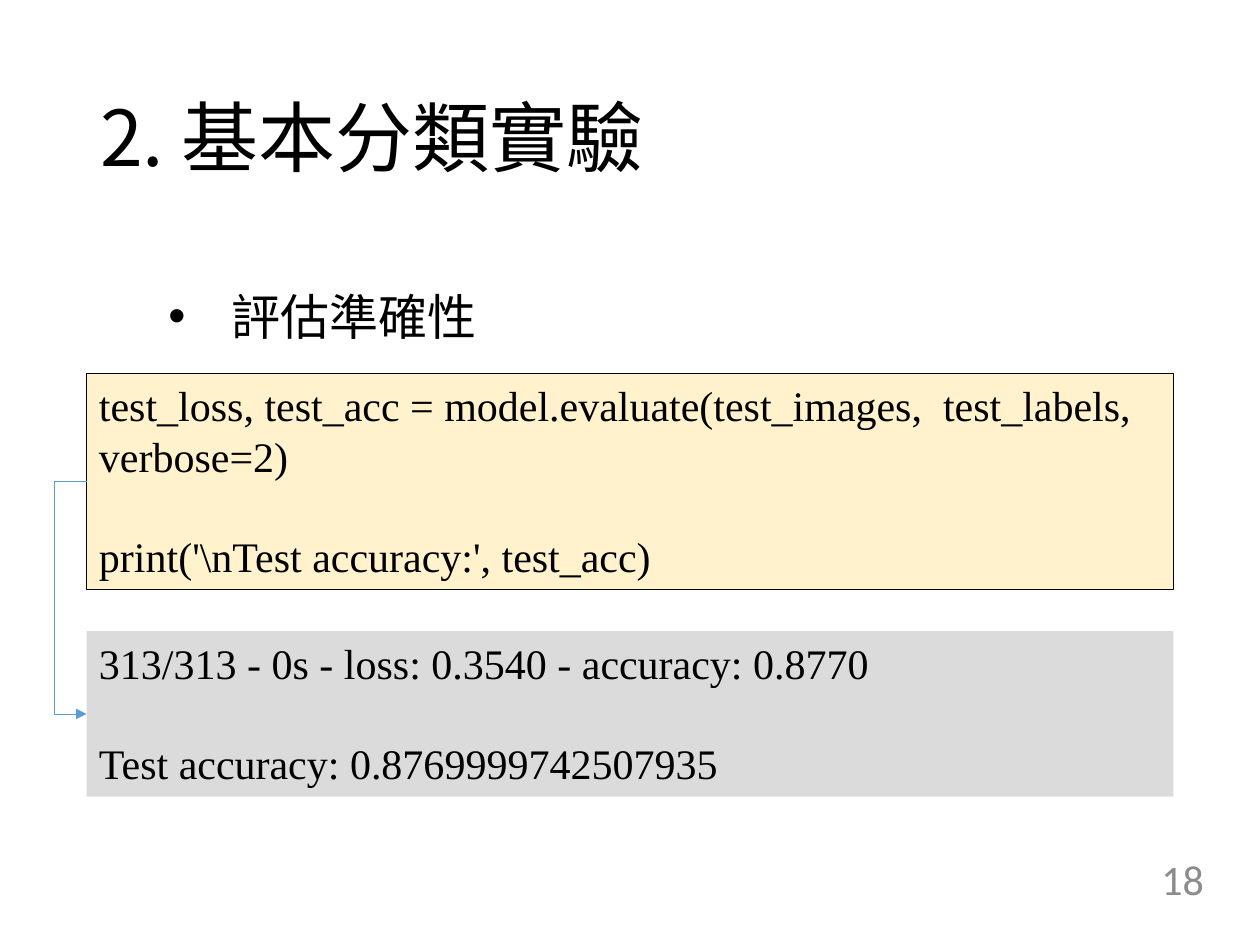
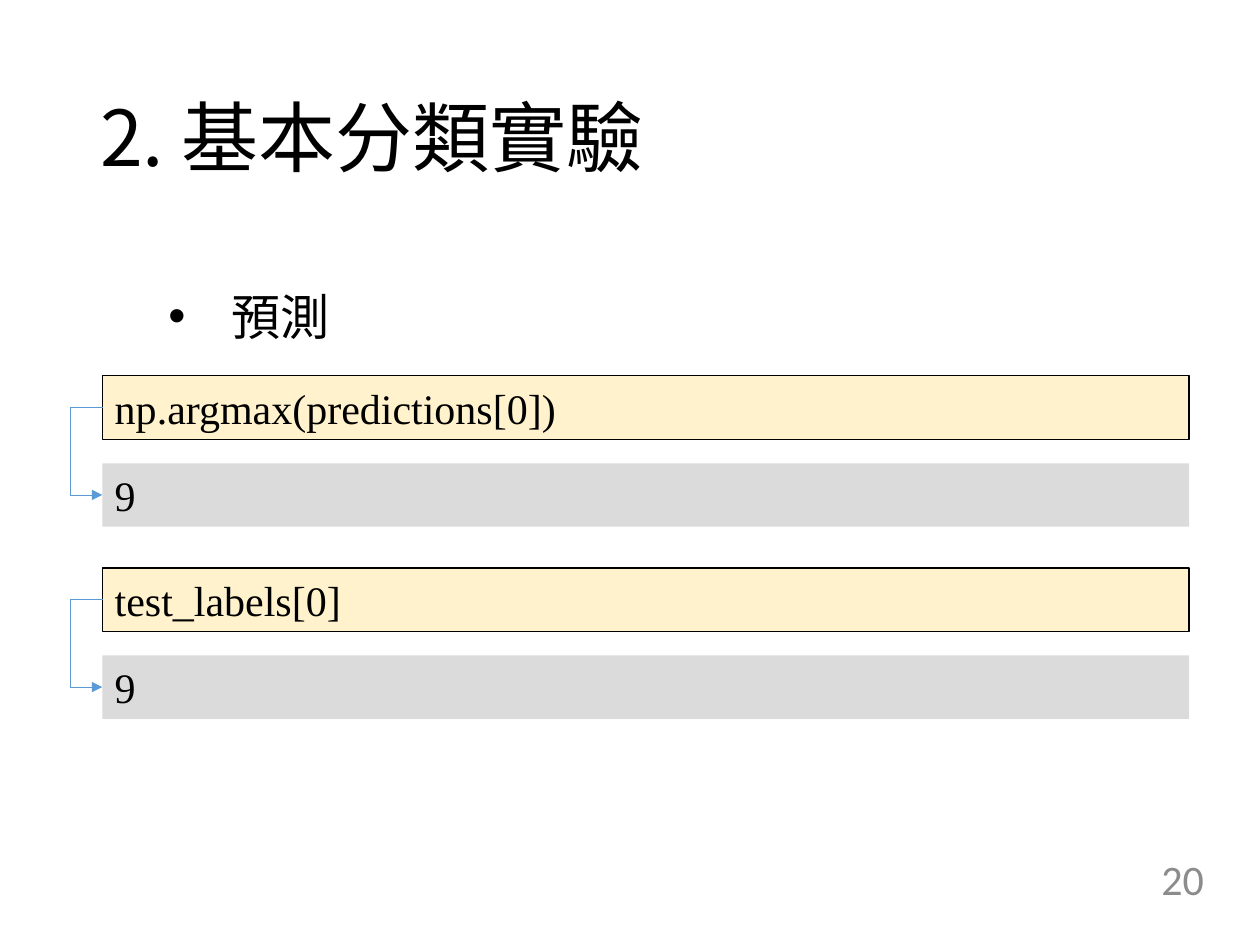
import pptx
import pptx.util
import pptx.dml.color
import pptx.enum.shapes
import pptx.enum.text
import pptx.oxml.ns
from dataclasses import dataclass
from lxml import etree

Pt = pptx.util.Pt
RGB = pptx.dml.color.RGBColor.from_string
ALIGN = pptx.enum.text.PP_ALIGN
ANCHOR = pptx.enum.text.MSO_ANCHOR
qn = pptx.oxml.ns.qn


@dataclass(frozen=True)
class Theme:
    ink: str = "000000"
    muted: str = "8C8C8C"
    code_fill: str = "FFF2CC"
    output_fill: str = "DBDBDB"
    arrow: str = "5B9BD5"
    heading_font: str = "Noto Sans CJK SC"
    code_font: str = "Times New Roman"
    number_font: str = "Calibri"
    title_size: float = 44
    topic_size: float = 28
    text_size: float = 24
    blank_line: float = 28.5


THEME = Theme()
PANEL_WIDTH = 621
ARROW_REACH = 18
ARROW_STUB = 0.5


def apply(target, formats):
    for attribute, value in formats.items():
        setattr(target, attribute, value)


def place(part, left, top, width, height):
    apply(part, {"left": Pt(left), "top": Pt(top), "width": Pt(width), "height": Pt(height)})


def style_font(paragraph, face, size, color):
    for run in paragraph.runs:
        apply(run.font, {"name": face, "size": Pt(size), "bold": False})
        run.font.color.rgb = RGB(color)
        east_asian = etree.SubElement(run.font._element, qn("a:ea"))
        east_asian.set("typeface", face)


def write(part, lines, face, size, color, anchor=ANCHOR.TOP, gap=0, **formats):
    frame = part.text_frame
    apply(frame, {"word_wrap": True, "vertical_anchor": anchor,
                  "auto_size": pptx.enum.text.MSO_AUTO_SIZE.NONE})
    frame.text = "\n".join(lines)
    for index, paragraph in enumerate(frame.paragraphs):
        apply(paragraph, {"alignment": ALIGN.LEFT, **formats})
        paragraph.space_before = Pt(gap if index else 0)
        style_font(paragraph, face, size, color)


def add_bullet(paragraph, indent):
    properties = paragraph._p.get_or_add_pPr()
    properties.set("marL", str(Pt(indent)))
    properties.set("indent", str(-Pt(indent)))
    etree.SubElement(properties, qn("a:buFont")).set("typeface", "Arial")
    etree.SubElement(properties, qn("a:buChar")).set("char", "•")


def add_topic_slide(deck, topic, number):
    slide = deck.slides.add_slide(deck.slide_layouts[1])
    title, body = slide.shapes.title, slide.placeholders[1]
    place(title, 50, 29, PANEL_WIDTH, 104)
    write(title, ["2. 基本分類實驗"], THEME.heading_font, THEME.title_size,
          THEME.ink, ANCHOR.MIDDLE, line_spacing=0.9)
    place(body, 89, 160, 558, 41)
    write(body, [topic], THEME.heading_font, THEME.topic_size, THEME.ink)
    add_bullet(body.text_frame.paragraphs[0], 36)
    page = slide.shapes.add_textbox(Pt(533), Pt(487.5), Pt(162), Pt(29))
    write(page, [number], THEME.number_font, THEME.text_size, THEME.muted,
          ANCHOR.MIDDLE, alignment=ALIGN.RIGHT)
    return slide


def add_panel(slide, lines, left, top, height, fill, outlined):
    panel = slide.shapes.add_shape(pptx.enum.shapes.MSO_SHAPE.RECTANGLE, Pt(left), Pt(top),
                                   Pt(PANEL_WIDTH), Pt(height))
    panel.shadow.inherit = False
    panel.fill.solid()
    panel.fill.fore_color.rgb = RGB(fill)
    if outlined:
        panel.line.color.rgb = RGB(THEME.ink)
        panel.line.width = Pt(0.75)
    else:
        panel.line.fill.background()
    write(panel, lines, THEME.code_font, THEME.text_size, THEME.ink, gap=THEME.blank_line)
    return panel


def add_result_arrow(slide, code, output):
    left = code.left
    arrow = slide.shapes.add_connector(
        pptx.enum.shapes.MSO_CONNECTOR.ELBOW, left + Pt(ARROW_STUB),
        code.top + code.height // 2, left, output.top + output.height // 2)
    arrow.begin_connect(code, 1)
    arrow.end_connect(output, 1)
    arrow.width = Pt(ARROW_STUB)
    arrow.line.color.rgb = RGB(THEME.arrow)
    arrow.line.width = Pt(0.5)
    properties = arrow._element.spPr
    adjustments = properties.find(qn("a:prstGeom")).get_or_add_avLst()
    bend = etree.SubElement(adjustments, qn("a:gd"))
    bend.set("name", "adj1")
    bend.set("fmla", f"val {round((ARROW_REACH + ARROW_STUB) / ARROW_STUB * 100000)}")
    etree.SubElement(arrow.line._get_or_add_ln(), qn("a:tailEnd")).set("type", "triangle")
    etree.SubElement(properties, qn("a:effectLst"))


def add_code_and_output(slide, left, code_lines, code_span, output_lines, output_span):
    code = add_panel(slide, code_lines, left, *code_span, THEME.code_fill, True)
    output = add_panel(slide, output_lines, left, *output_span, THEME.output_fill, False)
    add_result_arrow(slide, code, output)


def main():
    deck = pptx.Presentation()
    apply(deck, {"slide_width": Pt(720), "slide_height": Pt(540)})

    accuracy = add_topic_slide(deck, "評估準確性", "18")
    add_code_and_output(
        accuracy, 49.5,
        ["test_loss, test_acc = model.evaluate(test_images,  test_labels, verbose=2)",
         r"print('\nTest accuracy:', test_acc)"], (213.5, 123.5),
        ["313/313 - 0s - loss: 0.3540 - accuracy: 0.8770",
         "Test accuracy: 0.8769999742507935"], (360.75, 94.5))

    prediction = add_topic_slide(deck, "預測", "20")
    for index, expression in enumerate(["np.argmax(predictions[0])", "test_labels[0]"]):
        top = 214.75 + 109.75 * index
        add_code_and_output(prediction, 58.5, [expression], (top, 36.25),
                            ["9"], (top + 50, 36.25))

    deck.save("out.pptx")


if __name__ == "__main__":
    main()
